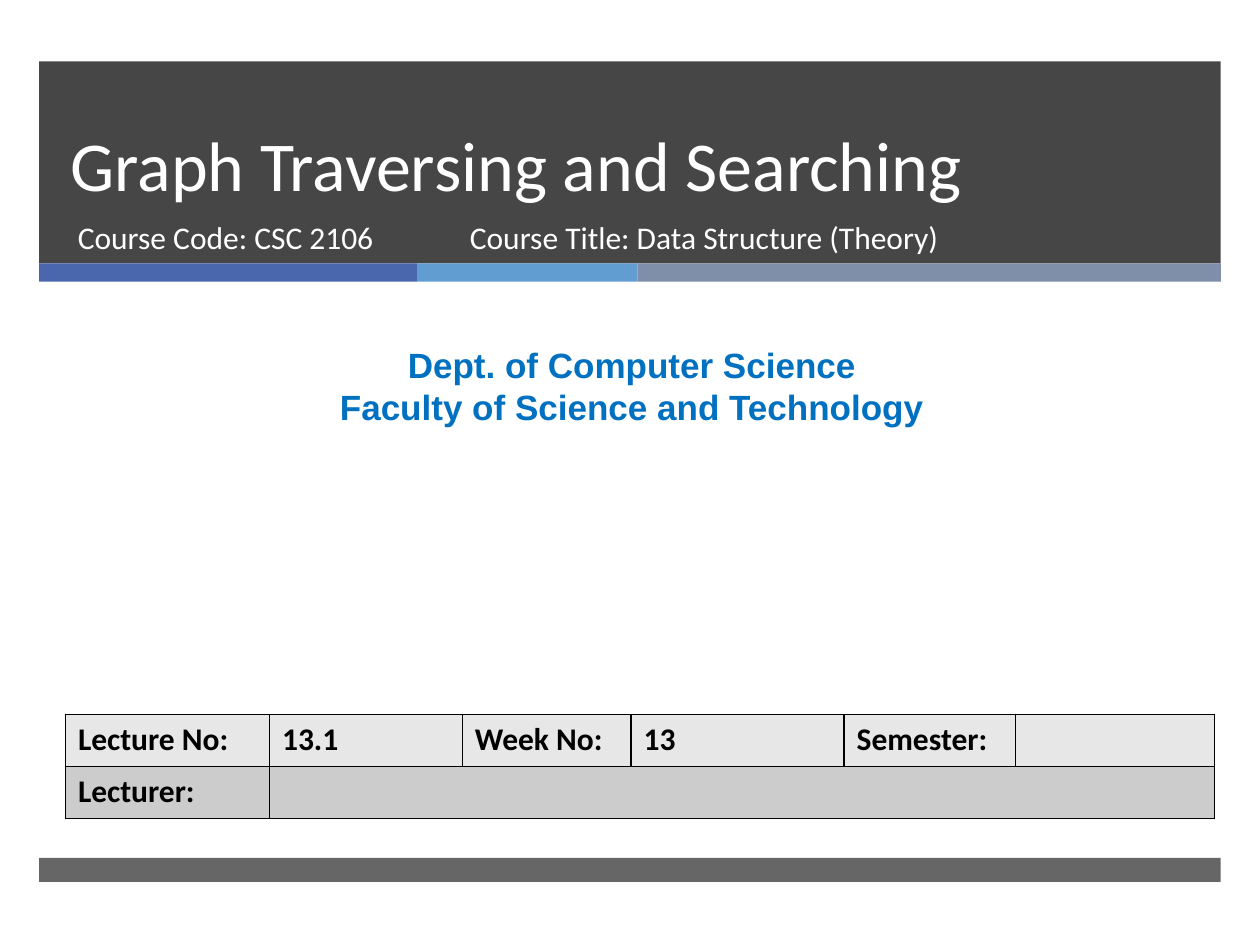
from dataclasses import dataclass

from lxml import etree
from pptx import Presentation
from pptx.dml.color import RGBColor
from pptx.enum import shapes as shp, text as txt
from pptx.oxml import ns
from pptx.util import Pt

WHITE = RGBColor(0xFF, 0xFF, 0xFF)
BLACK = RGBColor(0, 0, 0)
DARK = RGBColor(0x26, 0x26, 0x26)
BLUE = RGBColor(0x4A, 0x66, 0xAC)
SKY = RGBColor(0x62, 0x9D, 0xD1)
SLATE = RGBColor(0x7F, 0x8F, 0xA9)
DEPT = RGBColor(0x00, 0x70, 0xC0)
LIGHT = RGBColor(0xE7, 0xE7, 0xE7)
GRAY = RGBColor(0xCC, 0xCC, 0xCC)

LEFT, WIDE = 22.4, 675.2


@dataclass
class Band:
    left: float
    top: float
    width: float
    height: float
    color: RGBColor
    alpha: int = 100


@dataclass
class Label:
    left: float
    top: float
    width: float
    height: float
    lines: list[str]
    size: int = 18
    face: str = "Calibri"
    color: RGBColor = WHITE
    bold: bool = False
    align: txt.PP_ALIGN = txt.PP_ALIGN.LEFT


def place(shape, item) -> None:
    shape.left, shape.top = Pt(item.left), Pt(item.top)
    shape.width, shape.height = Pt(item.width), Pt(item.height)


def style(para, size: int, color: RGBColor, face: str = "Calibri",
          bold: bool = False) -> None:
    font = para.font
    font.size, font.name, font.bold = Pt(size), face, bold
    font.color.rgb = color


def draw_band(slide, band: Band) -> None:
    box = slide.shapes.add_shape(shp.MSO_SHAPE.RECTANGLE, 0, 0, 0, 0)
    place(box, band)
    box.shadow.inherit = False
    box.line.fill.background()
    box.fill.solid()
    box.fill.fore_color.rgb = band.color
    if band.alpha < 100:
        tint = box._element.spPr.find(".//" + ns.qn("a:srgbClr"))
        etree.SubElement(tint, ns.qn("a:alpha"), val=str(band.alpha * 1000))


def fill_text(box, label: Label) -> None:
    place(box, label)
    frame = box.text_frame
    frame.word_wrap = True
    frame.auto_size = txt.MSO_AUTO_SIZE.NONE
    frame.text = "\n".join(label.lines)
    for para in frame.paragraphs:
        para.alignment = label.align
        style(para, label.size, label.color, label.face, label.bold)


def draw_edges(cell) -> None:
    props = cell._tc.get_or_add_tcPr()
    for at, side in enumerate(("lnL", "lnR", "lnT", "lnB")):
        line = etree.Element(ns.qn("a:" + side), w=str(Pt(1)))
        fill = etree.SubElement(line, ns.qn("a:solidFill"))
        etree.SubElement(fill, ns.qn("a:srgbClr"), val=str(BLACK))
        props.insert(at, line)


def draw_table(slide, rows: list[list[str]], widths: list[float]) -> None:
    high = 29.8
    table = slide.shapes.add_table(
        len(rows), len(widths), Pt(37.4), Pt(408.2),
        Pt(sum(widths)), Pt(high * len(rows))).table
    for col, width in zip(table.columns, widths):
        col.width = Pt(width)
    for r, (row, color) in enumerate(zip(rows, (LIGHT, GRAY))):
        table.rows[r].height = Pt(high)
        for c in range(len(widths)):
            cell = table.cell(r, c)
            cell.fill.solid()
            cell.fill.fore_color.rgb = color
            draw_edges(cell)
            if c < len(row):
                cell.text = row[c]
            style(cell.text_frame.paragraphs[0], 18, BLACK, bold=True)
    table.cell(1, 1).merge(table.cell(1, len(widths) - 1))


def main() -> None:
    deck = Presentation()
    deck.slide_width, deck.slide_height = Pt(720), Pt(540)
    slide = deck.slides.add_slide(deck.slide_layouts[5])

    # Header block, colour strip and footer bar
    draw_band(slide, Band(LEFT, 35, WIDE, 115.5, DARK, 85))
    left = LEFT
    for width, color in ((216, BLUE), (126, SKY), (333.2, SLATE)):
        draw_band(slide, Band(left, 150.5, width, 10.5, color))
        left += width
    draw_band(slide, Band(LEFT, 490.2, WIDE, 13.7, DARK, 70))

    # Title, brought in front of the header block
    title = slide.shapes.title
    slide.shapes._spTree.append(title._element)
    fill_text(title, Label(33.1, 35.3, 615, 85.7,
                           ["Graph Traversing and Searching"], 40))
    title.text_frame.vertical_anchor = txt.MSO_ANCHOR.BOTTOM
    title.text_frame.paragraphs[0].line_spacing = Pt(46)

    # Course and department lines
    for label in (
        Label(37.4, 121, 219.6, 38.2, ["Course Code: CSC 2106"]),
        Label(261.4, 121.3, 327.6, 38.2,
              ["Course Title: Data Structure (Theory)"]),
        Label(5.8, 193, 710.6, 55.4,
              ["Dept. of Computer Science",
               "Faculty of Science and Technology"],
              20, "Arial", DEPT, True, txt.PP_ALIGN.CENTER),
    ):
        fill_text(slide.shapes.add_textbox(0, 0, 0, 0), label)

    # Lecture details
    draw_table(slide,
               [["Lecture No:", "13.1", "Week No:", "13", "Semester:"],
                ["Lecturer:"]],
               [116.6, 110.2, 96.5, 121.7, 97.9, 113.8])

    deck.save("out.pptx")


if __name__ == "__main__":
    main()
